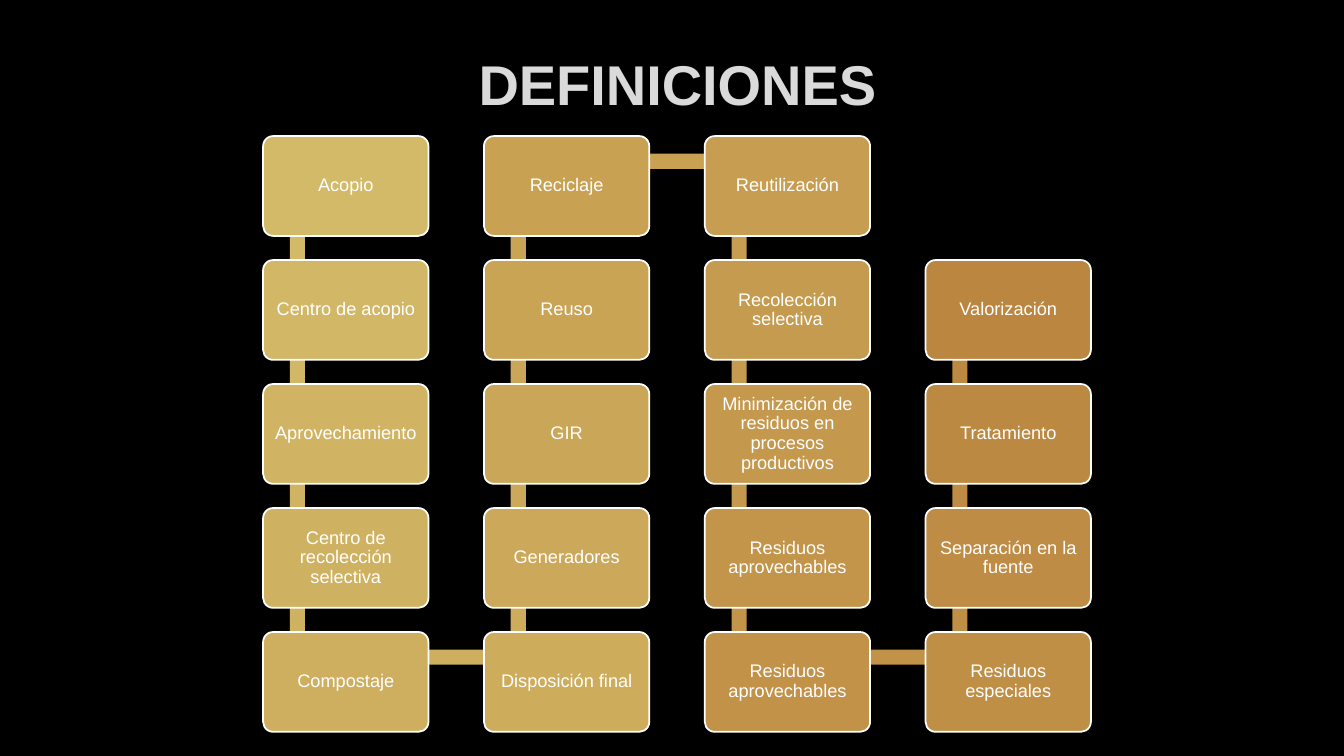
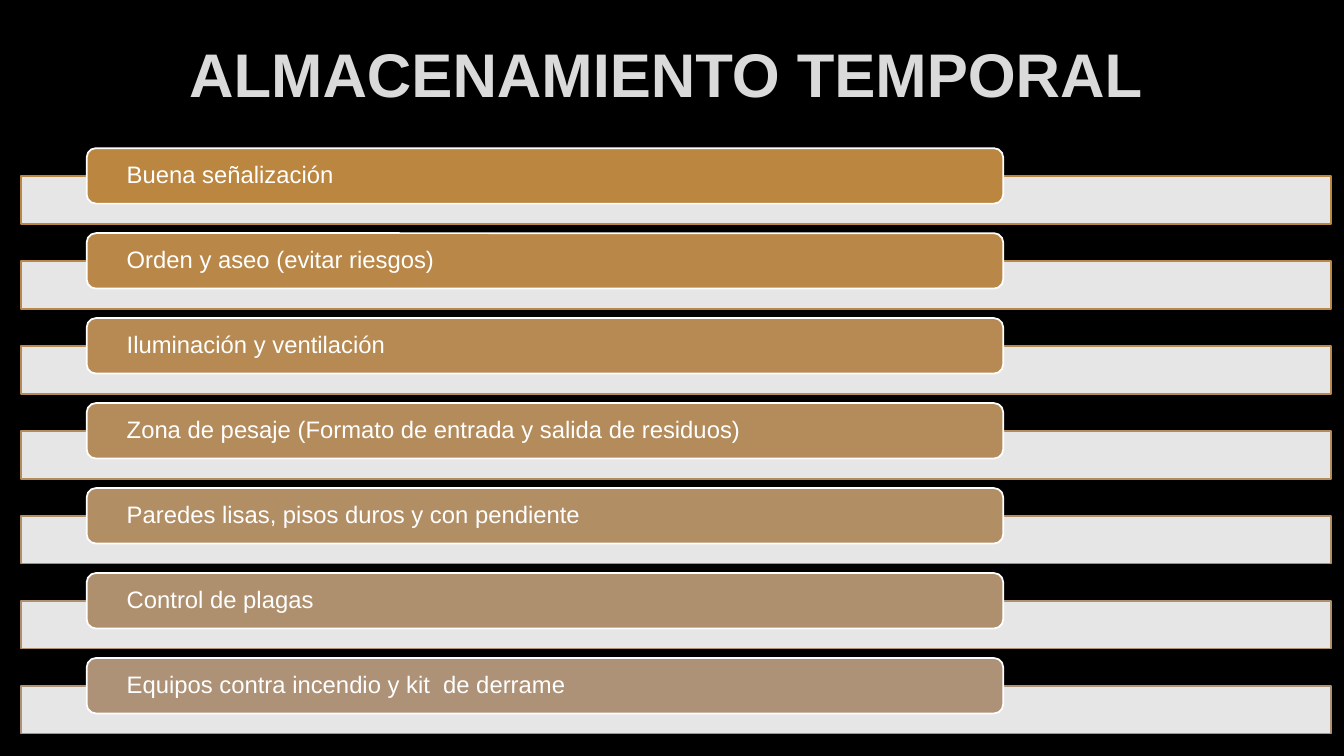
from lxml import etree
from pptx import Presentation
from pptx.dml.color import RGBColor
from pptx.enum.shapes import MSO_SHAPE as Shape
from pptx.enum.text import MSO_ANCHOR as Anchor, MSO_AUTO_SIZE as AutoSize, PP_ALIGN as Align
from pptx.oxml.ns import qn
from pptx.util import Inches, Pt

COLORS = {
    "background": "000000",
    "title": "DADADA",
    "white": "FFFFFF",
    "sand": "D3BA68",
    "gold": "C8A153",
    "bronze": "BB8640",
    "clay": "AD9277",
}
FONT = "Arial"

DEFINITIONS = {
    "title": "DEFINICIONES",
    "title_size": 40,
    "title_at": (1.06, 0.29),
    "columns": [
        ["Acopio", "Centro de acopio", "Aprovechamiento",
         "Centro de recolección selectiva", "Compostaje"],
        ["Disposición final", "Generadores", "GIR", "Reuso", "Reciclaje"],
        ["Reutilización", "Recolección selectiva",
         "Minimización de residuos en procesos productivos",
         "Residuos aprovechables", "Residuos aprovechables"],
        ["Residuos especiales", "Separación en la fuente", "Tratamiento", "Valorización"],
    ],
}
STORAGE = {
    "title": "ALMACENAMIENTO TEMPORAL",
    "title_size": 44,
    "title_at": (0.95, 0.19),
    "requirements": [
        "Buena señalización",
        "Orden y aseo (evitar riesgos)",
        "Iluminación y ventilación",
        "Zona de pesaje (Formato de entrada y salida de residuos)",
        "Paredes lisas, pisos duros y con pendiente",
        "Control de plagas",
        "Equipos contra incendio y kit  de derrame",
    ],
}

GRID_LEFT, GRID_TOP = 2.61, 1.35
CARD_W, CARD_H = 1.64, 0.99
STEP_X, STEP_Y = 2.19, 1.23
ROWS = 5
LINK_X, LINK_Y, LINK_THICK = 0.34, 0.25, 0.15

BAND_LEFT, BAND_TOP, BAND_W, BAND_H = 0.21, 1.75, 12.99, 0.47
LABEL_LEFT, LABEL_TOP, LABEL_W, LABEL_H = 0.86, 1.47, 9.09, 0.55
BAND_STEP = 0.843


def rgb(value):
    return RGBColor.from_string(value)


def blend(stops, position):
    segment = min(int(position * (len(stops) - 1)), len(stops) - 2)
    share = position * (len(stops) - 1) - segment
    start, end = rgb(stops[segment]), rgb(stops[segment + 1])
    return "".join(f"{round(a + (b - a) * share):02X}" for a, b in zip(start, end))


def style_font(font, size, color, bold=False):
    formats = {"name": FONT, "size": Pt(size), "bold": bold}
    for key, value in formats.items():
        setattr(font, key, value)
    font.color.rgb = rgb(color)


def add_block(slide, kind, box, fill, line=None):
    block = slide.shapes.add_shape(kind, *map(Inches, box))
    block.shadow.inherit = False
    block.fill.solid()
    block.fill.fore_color.rgb = rgb(fill)
    if line:
        block.line.color.rgb = rgb(line)
        block.line.width = Pt(1.25)
    else:
        block.line.fill.background()
    return block


def write_label(block, text, size, align, side, edge):
    frame = block.text_frame
    formats = {
        "word_wrap": True,
        "vertical_anchor": Anchor.MIDDLE,
        "margin_left": Inches(side),
        "margin_right": Inches(side),
        "margin_top": Inches(edge),
        "margin_bottom": Inches(edge),
    }
    for key, value in formats.items():
        setattr(frame, key, value)
    paragraph = frame.paragraphs[0]
    paragraph.text = text
    paragraph.alignment = align
    paragraph.line_spacing = 0.9
    style_font(paragraph.runs[0].font, size, COLORS["white"])


def add_titled_slide(prs, content):
    slide = prs.slides.add_slide(prs.slide_layouts[5])
    title = slide.shapes.title
    title.left, title.top = map(Inches, content["title_at"])
    title.width, title.height = Inches(11.32), Inches(1.06)
    frame = title.text_frame
    frame.text = content["title"]
    frame.auto_size = AutoSize.NONE
    frame.vertical_anchor = Anchor.MIDDLE
    frame.paragraphs[0].alignment = Align.CENTER
    style_font(frame.paragraphs[0].runs[0].font, content["title_size"], COLORS["title"], True)
    return slide


def build_definitions(prs):
    slide = add_titled_slide(prs, DEFINITIONS)
    cards = []
    for column, terms in enumerate(DEFINITIONS["columns"]):
        for place, term in enumerate(terms):
            row = ROWS - 1 - place if column % 2 else place
            cards.append((term, GRID_LEFT + column * STEP_X, GRID_TOP + row * STEP_Y))

    stops = [COLORS[name] for name in ("sand", "gold", "bronze")]
    for index, (term, x, y) in enumerate(cards):
        color = blend(stops, index / (len(cards) - 1))
        if index + 1 < len(cards):
            _, next_x, next_y = cards[index + 1]
            link = (
                min(x, next_x) + LINK_X - LINK_THICK / 2,
                min(y, next_y) + LINK_Y - LINK_THICK / 2,
                abs(next_x - x) + LINK_THICK,
                abs(next_y - y) + LINK_THICK,
            )
            add_block(slide, Shape.RECTANGLE, link, color)
        card = add_block(slide, Shape.ROUNDED_RECTANGLE, (x, y, CARD_W, CARD_H),
                         color, COLORS["white"])
        card.adjustments[0] = 0.1
        write_label(card, term, 13, Align.CENTER, 0.08, 0.08)


def build_storage(prs):
    slide = add_titled_slide(prs, STORAGE)
    requirements = STORAGE["requirements"]
    for index, requirement in enumerate(requirements):
        color = blend([COLORS["bronze"], COLORS["clay"]], index / (len(requirements) - 1))
        offset = index * BAND_STEP
        band = add_block(slide, Shape.RECTANGLE,
                         (BAND_LEFT, BAND_TOP + offset, BAND_W, BAND_H),
                         COLORS["white"], color)
        band_color = band.fill._xPr.find(qn("a:solidFill"))[0]
        etree.SubElement(band_color, qn("a:alpha"), val="90000")
        label = add_block(slide, Shape.ROUNDED_RECTANGLE,
                          (LABEL_LEFT, LABEL_TOP + offset, LABEL_W, LABEL_H),
                          color, COLORS["white"])
        write_label(label, requirement, 17, Align.LEFT, 0.37, 0)


def main():
    prs = Presentation()
    prs.slide_width, prs.slide_height = Inches(13.33), Inches(7.5)
    background = prs.slide_master.background.fill
    background.solid()
    background.fore_color.rgb = rgb(COLORS["background"])
    build_definitions(prs)
    build_storage(prs)
    prs.save("out.pptx")


if __name__ == "__main__":
    main()
